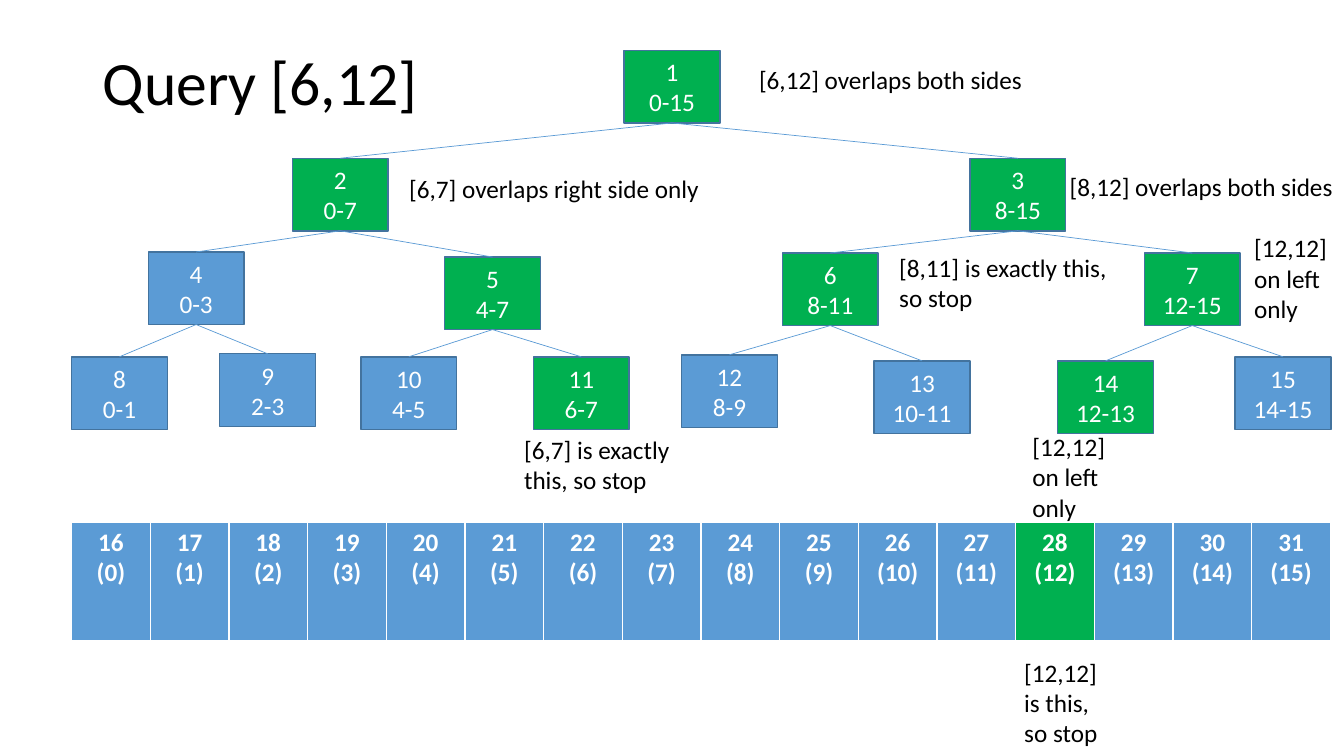
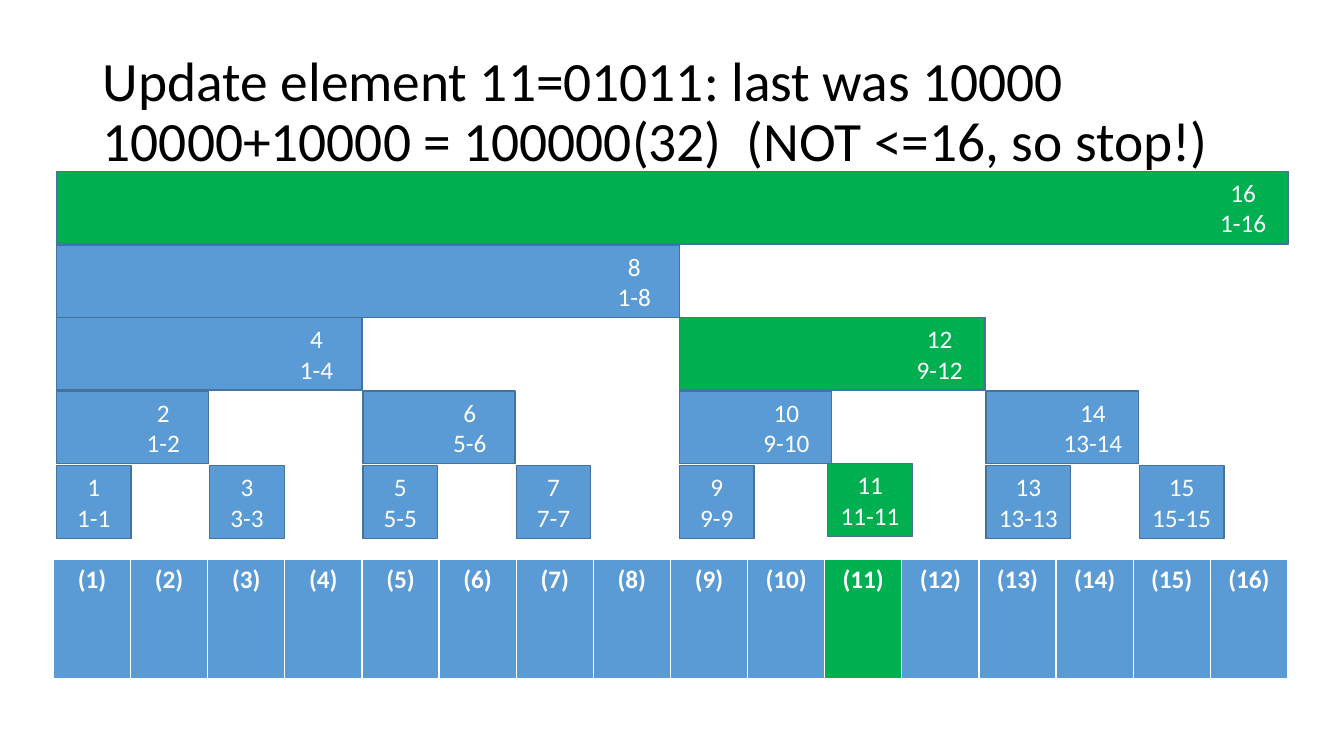
import pptx
import pptx.dml.color
import pptx.enum.shapes
import pptx.enum.text
import pptx.oxml.ns
import pptx.util
from lxml import etree

Inches = pptx.util.Inches
Pt = pptx.util.Pt

FONT = "Calibri"
COLORS = {
    "visited": "00B050",
    "plain": "5B9BD5",
    "outline": "43739E",
    "edge": "5B9BD5",
    "light": "FFFFFF",
    "dark": "000000",
}
BODY_SIZE = 18
BOX_HEIGHT = 0.72
LEAF_COUNT = 16
TABLE_HEIGHT = 1.18

QUERY_TITLE = "Query [6,12]"
NODE_WIDTH = 0.95
NODE_PLACES = {
    1: (6.19, 0.5),
    2: (2.9, 1.57), 3: (9.62, 1.57),
    4: (1.47, 2.5), 5: (4.41, 2.55), 6: (7.76, 2.51), 7: (11.35, 2.51),
    8: (0.71, 3.54), 9: (2.18, 3.51), 10: (3.58, 3.54), 11: (5.29, 3.54),
    12: (6.76, 3.52), 13: (8.67, 3.58), 14: (10.49, 3.58), 15: (12.25, 3.54),
}
VISITED_NODES = {1, 2, 3, 5, 6, 7, 11, 14, 28}
NOTES = [
    ("[6,12] overlaps both sides", 7.43, 0.59, 2.84, 0.4),
    ("[6,7] overlaps right side only", 3.96, 1.67, 3.11, 0.4),
    ("[8,12] overlaps both sides", 10.51, 1.65, 2.84, 0.4),
    ("[6,7] is exactly\nthis, so stop", 5.1, 4.26, 1.66, 0.71),
    ("[8,11] is exactly this,\nso stop", 8.82, 2.45, 2.28, 0.71),
    ("[12,12]\non left\nonly", 12.34, 2.26, 0.99, 1.01),
    ("[12,12]\non left\nonly", 10.14, 4.23, 0.99, 1.01),
    ("[12,12]\nis this,\nso stop", 10.06, 6.47, 0.99, 1.01),
]

UPDATE_TITLE = (
    "Update element 11=01011: last was 10000\v"
    "10000+10000 = 100000(32)  (NOT <=16, so stop!)"
)
UPDATED_BARS = {11, 12, 16}
UPDATED_ELEMENT = 11
BAR_ROWS = {1: (4.62, 0.74), 2: (3.88, 1.51), 4: (3.15, 3.03),
            8: (2.43, 6.18), 16: (1.7, 12.22)}
BAR_LEFT = 0.56
BAR_STEP = 0.76
HALF_GAP = 0.1
WIDE_LEAF = 0.84
LABEL_ZONE = 0.9
SHIFTED_BARS = {11: (8.21, 4.6)}


def rgb(name):
    return pptx.dml.color.RGBColor.from_string(COLORS[name])


def fill_color(active):
    return rgb("visited" if active else "plain")


def format_text(text_frame, color, size=BODY_SIZE, align="LEFT", bold=False):
    for paragraph in text_frame.paragraphs:
        paragraph.alignment = getattr(pptx.enum.text.PP_ALIGN, align)
        for run in paragraph.runs:
            run.font.name = FONT
            run.font.size = Pt(size)
            run.font.bold = bold
            run.font.color.rgb = rgb(color)


def add_titled_slide(presentation, text, place, size):
    slide = presentation.slides.add_slide(presentation.slide_layouts[5])
    title = slide.shapes.title
    title.left, title.top, title.width, title.height = map(Inches, place)
    text_frame = title.text_frame
    text_frame.text = text
    text_frame.word_wrap = True
    text_frame.auto_size = pptx.enum.text.MSO_AUTO_SIZE.NONE
    text_frame.vertical_anchor = pptx.enum.text.MSO_ANCHOR.MIDDLE
    format_text(text_frame, "dark", size)
    text_frame.paragraphs[0].line_spacing = 0.9
    return slide


def add_box(slide, text, left, top, width, active):
    shape = slide.shapes.add_shape(
        pptx.enum.shapes.MSO_SHAPE.RECTANGLE,
        Inches(left), Inches(top), Inches(width), Inches(BOX_HEIGHT))
    shape.shadow.inherit = False
    shape.fill.solid()
    shape.fill.fore_color.rgb = fill_color(active)
    shape.line.color.rgb = rgb("outline")
    shape.line.width = Pt(1)
    text_frame = shape.text_frame
    text_frame.text = text
    text_frame.word_wrap = True
    text_frame.vertical_anchor = pptx.enum.text.MSO_ANCHOR.MIDDLE
    format_text(text_frame, "light", align="CENTER")
    return shape


def add_edge(slide, parent, child):
    connector = slide.shapes.add_connector(
        pptx.enum.shapes.MSO_CONNECTOR.STRAIGHT, 0, 0, 0, 0)
    connector.begin_connect(parent, 2)
    connector.end_connect(child, 0)
    connector.line.color.rgb = rgb("edge")
    connector.line.width = Pt(0.5)
    etree.SubElement(connector._element.spPr, pptx.oxml.ns.qn("a:effectLst"))


def add_array(slide, labels, active_index, left, top, width):
    table = slide.shapes.add_table(
        1, len(labels), Inches(left), Inches(top),
        Inches(width), Inches(TABLE_HEIGHT)).table
    for index, label in enumerate(labels):
        table.columns[index].width = Inches(width / len(labels))
        cell = table.cell(0, index)
        cell.fill.solid()
        cell.fill.fore_color.rgb = fill_color(index == active_index)
        cell.text_frame.text = label
        format_text(cell.text_frame, "light", align="CENTER", bold=True)


def add_note(slide, text, left, top, width, height):
    note = slide.shapes.add_textbox(
        Inches(left), Inches(top), Inches(width), Inches(height))
    text_frame = note.text_frame
    text_frame.text = text
    text_frame.word_wrap = False
    text_frame.auto_size = pptx.enum.text.MSO_AUTO_SIZE.SHAPE_TO_FIT_TEXT
    format_text(text_frame, "dark")


def node_label(number):
    level_start = 1 << (number.bit_length() - 1)
    span = LEAF_COUNT // level_start
    first = (number - level_start) * span
    return f"{number}\n{first}-{first + span - 1}"


def build_query_slide(presentation):
    slide = add_titled_slide(
        presentation, QUERY_TITLE, (0.92, 0.12, 3.74, 1.45), 44)
    nodes = {
        number: add_box(slide, node_label(number), left, top,
                        NODE_WIDTH, number in VISITED_NODES)
        for number, (left, top) in NODE_PLACES.items()
    }
    for number in range(2, LEAF_COUNT):
        add_edge(slide, nodes[number // 2], nodes[number])
    labels = [f"{LEAF_COUNT + index}\n({index})" for index in range(LEAF_COUNT)]
    active_leaf = max(VISITED_NODES) - LEAF_COUNT
    add_array(slide, labels, active_leaf, 0.71, 5.18, 12.49)
    for note in NOTES:
        add_note(slide, *note)


def add_bar(slide, number):
    span = number & -number
    first = number - span + 1
    top, width = BAR_ROWS[span]
    left = BAR_LEFT + BAR_STEP * (first - 1)
    if first > LEAF_COUNT // 2:
        left += HALF_GAP
    if span == 1 and number > 10:
        width = WIDE_LEAF
    left, top = SHIFTED_BARS.get(number, (left, top))
    bar = add_box(slide, f"{number}\n{first}-{number}", left, top, width,
                  number in UPDATED_BARS)
    if span > 1:
        bar.text_frame.margin_left = Inches(width - LABEL_ZONE)
        bar.text_frame.margin_right = 0


def build_update_slide(presentation):
    slide = add_titled_slide(
        presentation, UPDATE_TITLE, (0.92, 0.4, 11.5, 1.45), 39.6)
    elements = range(1, LEAF_COUNT + 1)
    add_array(slide, [f"({number})" for number in elements],
              UPDATED_ELEMENT - 1, 0.53, 5.55, 12.24)
    for number in sorted(elements, key=lambda value: value & -value):
        add_bar(slide, number)


def main():
    presentation = pptx.Presentation()
    presentation.slide_width = Inches(13.33)
    presentation.slide_height = Inches(7.5)
    build_query_slide(presentation)
    build_update_slide(presentation)
    presentation.save("out.pptx")


if __name__ == "__main__":
    main()
